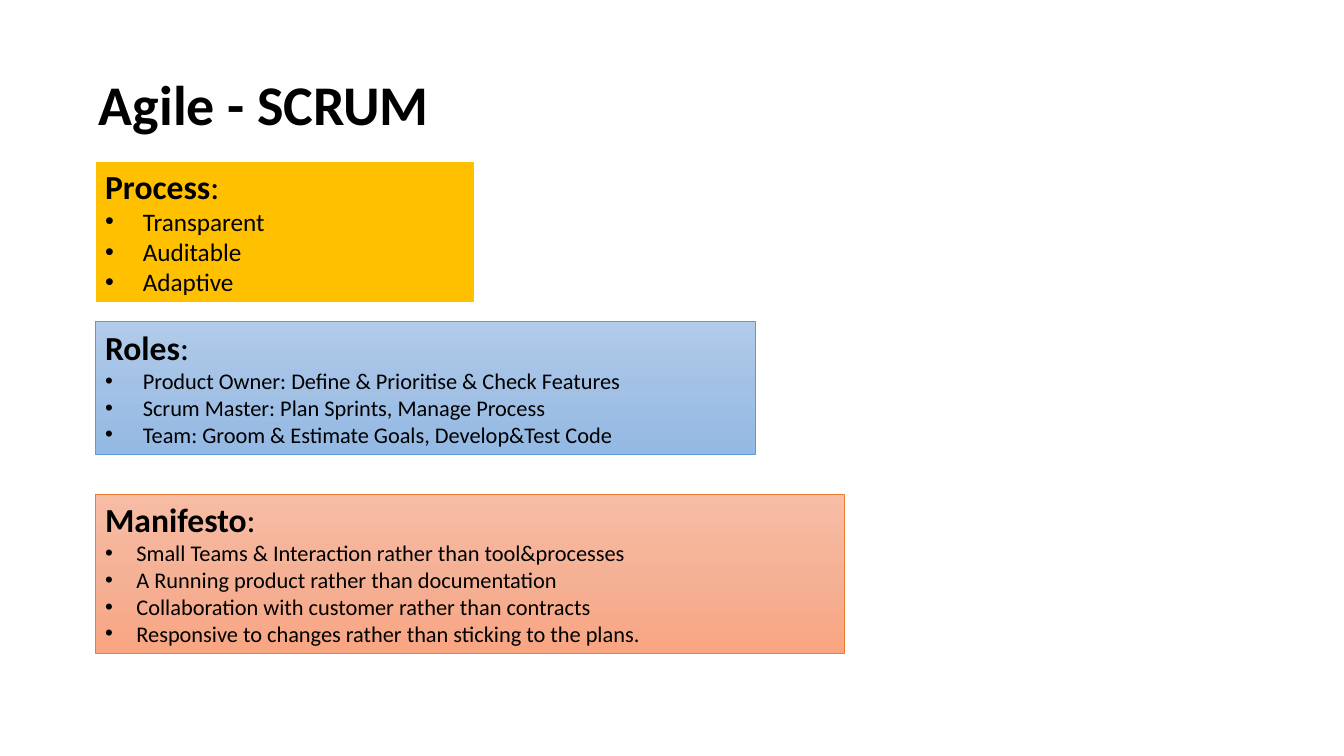
import copy
from dataclasses import dataclass

import lxml.etree
import pptx
import pptx.dml.color
import pptx.enum.shapes
import pptx.enum.text
import pptx.oxml.ns
import pptx.util

Cm = pptx.util.Cm
Pt = pptx.util.Pt
qn = pptx.oxml.ns.qn

FONT = "Calibri"
BOX_LEFT = 2.4
COLORS = {
    "text": "000000",
    "process": "FFC000", "process_line": "FFFFFF",
    "roles_top": "B1CBE9", "roles_middle": "A3C1E5", "roles_bottom": "93B9E4",
    "roles_line": "5B9BD5",
    "manifesto_top": "F7BDA5", "manifesto_middle": "F5B196",
    "manifesto_bottom": "F8A582", "manifesto_line": "ED7D31",
}


@dataclass
class Panel:
    """A coloured box with a heading and bullets; lengths in centimetres."""
    heading: str
    bullets: list[str]
    top: float
    width: float
    height: float
    fills: list[str]
    line: str
    line_width: float
    bullet_size: int
    indent: float


PANELS = [
    Panel("Process", ["Transparent", "Auditable", "Adaptive"],
          4.05, 9.58, 3.58, ["process"], "process_line", 1.5, 18, 0.95),
    Panel("Roles", ["Product Owner: Define & Prioritise & Check Features",
                    "Scrum Master: Plan Sprints, Manage Process",
                    "Team: Groom & Estimate Goals, Develop&Test Code"],
          8.11, 16.65, 3.33, ["roles_top", "roles_middle", "roles_bottom"],
          "roles_line", 0.5, 16, 0.95),
    Panel("Manifesto", ["Small Teams & Interaction rather than tool&processes",
                        "A Running product rather than documentation",
                        "Collaboration with customer rather than contracts",
                        "Responsive to changes rather than sticking to the plans."],
          12.45, 18.88, 4.01,
          ["manifesto_top", "manifesto_middle", "manifesto_bottom"],
          "manifesto_line", 0.5, 16, 0.79),
]


def rgb(name: str) -> pptx.dml.color.RGBColor:
    return pptx.dml.color.RGBColor.from_string(COLORS[name])


def add_span(para, text: str, size: int, bold: bool = False) -> None:
    span = para.add_run()
    span.text = text
    span.font.name = FONT
    span.font.size = Pt(size)
    span.font.bold = bold
    span.font.color.rgb = rgb("text")


def set_bullet(para, indent: float) -> None:
    properties = para._p.get_or_add_pPr()
    properties.set("marL", str(Cm(indent)))
    properties.set("indent", str(-Cm(indent)))
    lxml.etree.SubElement(properties, qn("a:buFont")).set("typeface", "Arial")
    lxml.etree.SubElement(properties, qn("a:buChar")).set("char", "•")


def fill_box(box, fills: list[str]) -> None:
    if len(fills) == 1:
        box.fill.solid()
        box.fill.fore_color.rgb = rgb(fills[0])
        return
    box.fill.gradient()
    box.fill.gradient_angle = 270
    # The default gradient has two stops, so a middle one is added
    stop_list = box._element.spPr.find(".//" + qn("a:gsLst"))
    stop_list.insert(1, copy.deepcopy(stop_list[0]))
    for index, (stop, name) in enumerate(zip(box.fill.gradient_stops, fills)):
        stop.position = index / (len(fills) - 1)
        stop.color.rgb = rgb(name)


def add_panel(slide, panel: Panel) -> None:
    box = slide.shapes.add_shape(
        pptx.enum.shapes.MSO_SHAPE.RECTANGLE,
        Cm(BOX_LEFT), Cm(panel.top), Cm(panel.width), Cm(panel.height))
    box.shadow.inherit = False
    fill_box(box, panel.fills)
    box.line.color.rgb = rgb(panel.line)
    box.line.width = Pt(panel.line_width)

    frame = box.text_frame
    frame.word_wrap = True
    frame.vertical_anchor = pptx.enum.text.MSO_ANCHOR.TOP
    heading = frame.paragraphs[0]
    add_span(heading, panel.heading, 24, bold=True)
    add_span(heading, ":", 24)
    for bullet in panel.bullets:
        para = frame.add_paragraph()
        set_bullet(para, panel.indent)
        add_span(para, bullet, panel.bullet_size)
    for para in frame.paragraphs:
        para.alignment = pptx.enum.text.PP_ALIGN.LEFT


def add_title(slide, text: str) -> None:
    title = slide.shapes.title
    title.left, title.top = Cm(2.24), Cm(1.63)
    title.width, title.height = Cm(17.5), Cm(1.96)
    frame = title.text_frame
    frame.word_wrap = True
    frame.auto_size = pptx.enum.text.MSO_AUTO_SIZE.NONE
    frame.vertical_anchor = pptx.enum.text.MSO_ANCHOR.TOP
    para = frame.paragraphs[0]
    para.alignment = pptx.enum.text.PP_ALIGN.LEFT
    add_span(para, text, 40, bold=True)


def main() -> None:
    deck = pptx.Presentation()
    deck.slide_width, deck.slide_height = Cm(33.87), Cm(19.05)
    # Layout 5 is title only
    slide = deck.slides.add_slide(deck.slide_layouts[5])
    add_title(slide, "Agile - SCRUM")
    for panel in PANELS:
        add_panel(slide, panel)
    deck.save("out.pptx")


if __name__ == "__main__":
    main()
